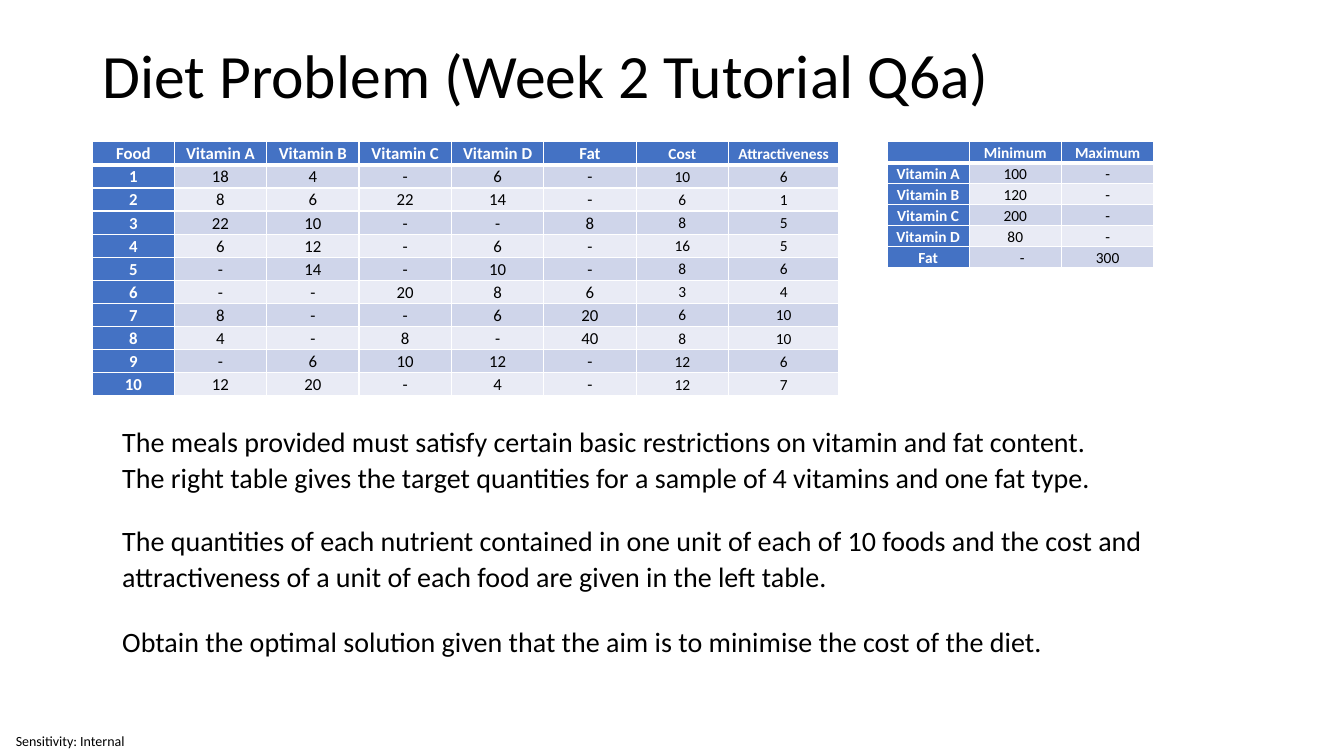
from dataclasses import dataclass

import lxml.etree
import pptx
import pptx.dml.color
import pptx.enum.text
import pptx.oxml.ns
import pptx.util

PX = 9525  # EMU per px, 96 px to the inch
FONT = "Calibri"
BLACK, WHITE = "000000", "FFFFFF"
BLUE, BAND_DARK, BAND_LIGHT = "4472C4", "CFD5EA", "E9EBF5"
MIDDLE = pptx.enum.text.MSO_ANCHOR.MIDDLE
BOTTOM = pptx.enum.text.MSO_ANCHOR.BOTTOM
LEFT = pptx.enum.text.PP_ALIGN.LEFT
CENTER = pptx.enum.text.PP_ALIGN.CENTER


@dataclass
class Box:
    left: int
    top: int
    width: int
    height: int

    def emu(self) -> tuple:
        return tuple(px(n) for n in (self.left, self.top, self.width, self.height))


@dataclass
class Grid:
    left: int
    top: int
    columns: list[int]
    row_height: int
    sizes: list[int]  # font size of each column
    anchor: pptx.enum.text.MSO_ANCHOR
    rows: list[list[str]]


@dataclass
class Statement:
    box: Box
    text: str


# Content
FOODS = Grid(88, 135, [78] + [88] * 6 + [105], 22, [12] * 6 + [11] * 2, MIDDLE, [
    ["Food", "Vitamin A", "Vitamin B", "Vitamin C", "Vitamin D", "Fat", "Cost", "Attractiveness"],
    ["1", "18", "4", "-", "6", "-", "10", "6"],
    ["2", "8", "6", "22", "14", "-", "6", "1"],
    ["3", "22", "10", "-", "-", "8", "8", "5"],
    ["4", "6", "12", "-", "6", "-", "16", "5"],
    ["5", "-", "14", "-", "10", "-", "8", "6"],
    ["6", "-", "-", "20", "8", "6", "3", "4"],
    ["7", "8", "-", "-", "6", "20", "6", "10"],
    ["8", "4", "-", "8", "-", "40", "8", "10"],
    ["9", "-", "6", "10", "12", "-", "12", "6"],
    ["10", "12", "20", "-", "4", "-", "12", "7"],
])
TARGETS = Grid(845, 135, [78, 88, 88], 20, [11] * 3, BOTTOM, [
    ["", "Minimum", "Maximum"],
    ["Vitamin A", "100", "-"],
    ["Vitamin B", "120", "-"],
    ["Vitamin C", "200", "-"],
    ["Vitamin D", "80", "-"],
    ["Fat", "-", "300"],
])
STATEMENTS = [
    Statement(Box(59, 397, 990, 78),
              "The meals provided must satisfy certain basic restrictions on vitamin and fat content. "
              "The right table gives the target quantities for a sample of 4 vitamins and one fat type."),
    Statement(Box(59, 492, 1104, 78),
              "The quantities of each nutrient contained in one unit of each of 10 foods and the cost and "
              "attractiveness of a unit of each food are given in the left table."),
    Statement(Box(59, 588, 952, 43),
              "Obtain the optimal solution given that the aim is to minimise the cost of the diet."),
]


def px(length: int) -> pptx.util.Emu:
    return pptx.util.Emu(length * PX)


def color(value: str) -> pptx.dml.color.RGBColor:
    return pptx.dml.color.RGBColor.from_string(value)


def format_paragraph(paragraph, size: int, ink: str = BLACK, bold: bool = False,
                     align=LEFT, spacing: float = 1.0) -> None:
    paragraph.alignment = align
    paragraph.line_spacing = spacing
    font = paragraph.font
    font.name, font.size, font.bold = FONT, pptx.util.Pt(size), bold
    font.color.rgb = color(ink)


def set_border(cell, side: str, width: int) -> None:
    qn = pptx.oxml.ns.qn
    line = lxml.etree.Element(qn(f"a:ln{side}"), w=str(pptx.util.Pt(width)))
    fill = lxml.etree.SubElement(line, qn("a:solidFill"))
    lxml.etree.SubElement(fill, qn("a:srgbClr"), val=WHITE)
    # Borders come before the fill, in the order L, R, T, B
    cell._tc.get_or_add_tcPr().insert("LRTB".index(side), line)


def draw_grid(slide, grid: Grid) -> None:
    box = Box(grid.left, grid.top, sum(grid.columns), grid.row_height * len(grid.rows))
    table = slide.shapes.add_table(len(grid.rows), len(grid.columns), *box.emu()).table
    table.first_col = True
    for column, width in zip(table.columns, grid.columns):
        column.width = px(width)
    for r, row in enumerate(grid.rows):
        table.rows[r].height = px(grid.row_height)
        for c, text in enumerate(row):
            cell = table.cell(r, c)
            heading = r == 0 or c == 0
            cell.margin_left = cell.margin_right = px(7)
            cell.margin_top = cell.margin_bottom = 0
            cell.vertical_anchor = grid.anchor
            for side in "LRTB":
                under_header = (r, side) in ((0, "B"), (1, "T"))
                set_border(cell, side, 3 if under_header else 1)
            cell.fill.solid()
            cell.fill.fore_color.rgb = color(
                BLUE if heading else BAND_DARK if r % 2 else BAND_LIGHT)
            cell.text = text
            format_paragraph(cell.text_frame.paragraphs[0], grid.sizes[c],
                             WHITE if heading else BLACK, heading, CENTER, 1.07)
    if grid is TARGETS:  # the missing fat minimum sits a little to the right
        table.cell(5, 1).margin_left = px(20)


def add_text(slide, box: Box, text: str):
    frame = slide.shapes.add_textbox(*box.emu()).text_frame
    frame.word_wrap = True
    frame.text = text
    return frame


def draw_statement(slide, statement: Statement) -> None:
    paragraph = add_text(slide, statement.box, statement.text).paragraphs[0]
    paragraph._p.get_or_add_pPr().set("marL", str(px(48)))
    paragraph.space_after = pptx.util.Pt(8)
    format_paragraph(paragraph, 20, spacing=1.07)


def main() -> None:
    deck = pptx.Presentation()
    deck.slide_width, deck.slide_height = px(1280), px(720)
    slide = deck.slides.add_slide(deck.slide_layouts[5])

    # Title
    title = slide.shapes.title
    title.left, title.top, title.width, title.height = Box(88, 38, 1104, 74).emu()
    title.text_frame.text = "Diet Problem (Week 2 Tutorial Q6a)"
    title.text_frame.vertical_anchor = MIDDLE
    title.text_frame.auto_size = pptx.enum.text.MSO_AUTO_SIZE.NONE
    format_paragraph(title.text_frame.paragraphs[0], 44, spacing=0.9)

    # Tables
    for grid in (FOODS, TARGETS):
        draw_grid(slide, grid)

    # Problem statement
    for statement in STATEMENTS:
        draw_statement(slide, statement)

    # Sensitivity label
    label = add_text(slide, Box(0, 692, 134, 28), "Sensitivity: Internal")
    label.margin_left = px(15)
    label.margin_top = label.margin_right = label.margin_bottom = 0
    label.vertical_anchor = MIDDLE
    format_paragraph(label.paragraphs[0], 10)

    deck.save("out.pptx")


if __name__ == "__main__":
    main()
